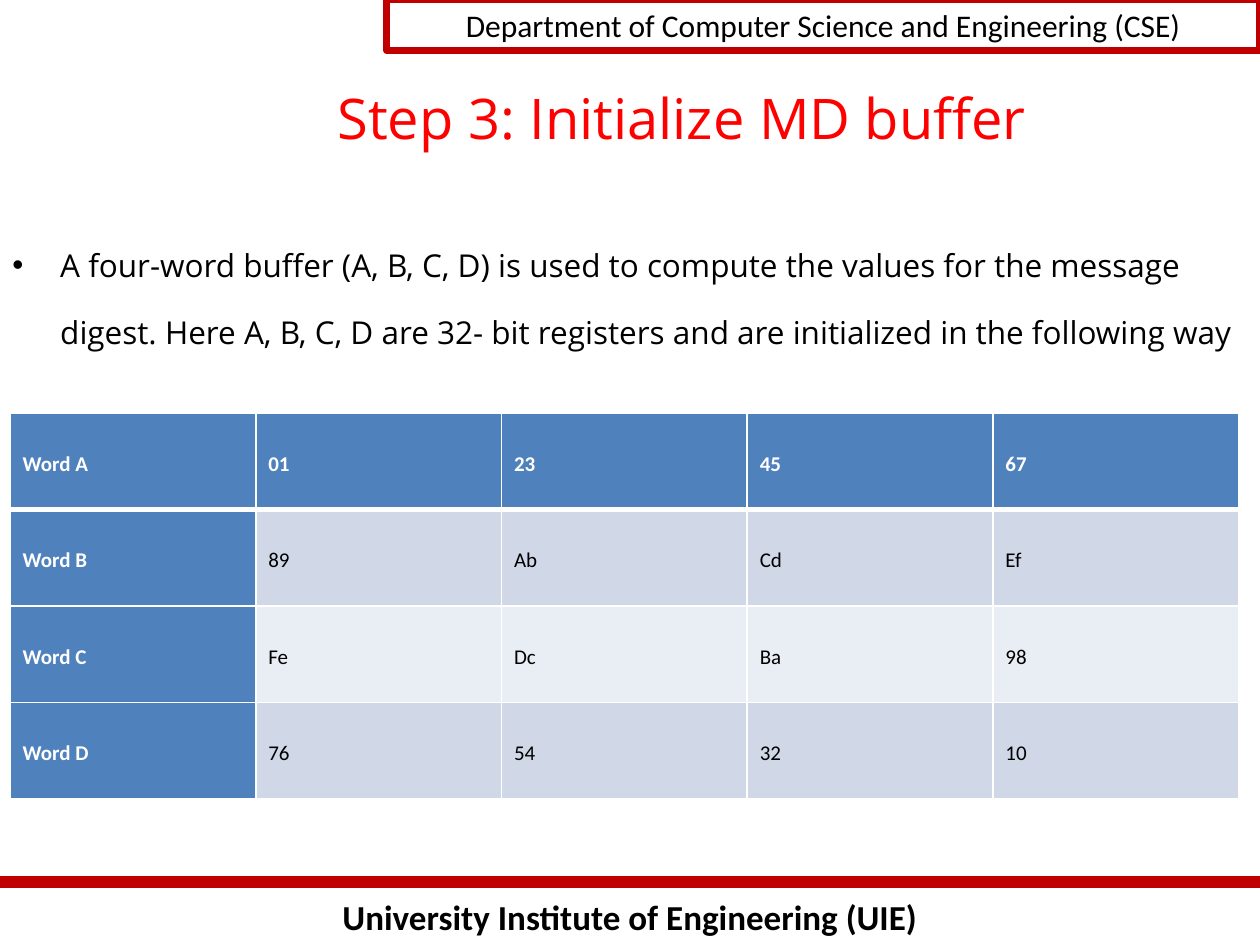
import pptx
import pptx.util
import pptx.dml.color
import pptx.enum.shapes
import pptx.enum.text
import pptx.oxml.ns
from lxml import etree

Inches, Pt = pptx.util.Inches, pptx.util.Pt
RGBColor = pptx.dml.color.RGBColor
ALIGN = pptx.enum.text.PP_ALIGN
ANCHOR = pptx.enum.text.MSO_ANCHOR
qn = pptx.oxml.ns.qn

BLACK = RGBColor(0x00, 0x00, 0x00)
WHITE = RGBColor(0xFF, 0xFF, 0xFF)
RED = RGBColor(0xFF, 0x00, 0x00)
DARK_RED = RGBColor(0xC0, 0x00, 0x00)
BLUE = RGBColor(0x4F, 0x81, 0xBD)
BAND_DARK = RGBColor(0xD0, 0xD8, 0xE8)
BAND_LIGHT = RGBColor(0xE9, 0xED, 0xF4)

WORDS = [
    ["Word A", "01", "23", "45", "67"],
    ["Word B", "89", "Ab", "Cd", "Ef"],
    ["Word C", "Fe", "Dc", "Ba", "98"],
    ["Word D", "76", "54", "32", "10"],
]


def add_run(p, text, size, font="Calibri", color=BLACK, bold=False):
    r = p.add_run()
    r.text = text
    r.font.size = Pt(size)
    r.font.name = font
    r.font.color.rgb = color
    r.font.bold = bold


def add_text_box(s, left, top, width, height):
    tf = s.shapes.add_textbox(
        Inches(left), Inches(top), Inches(width), Inches(height)).text_frame
    tf.word_wrap = True
    return tf.paragraphs[0]


def add_department(s):
    sp = s.shapes.add_shape(pptx.enum.shapes.MSO_SHAPE.RECTANGLE,
                            Inches(3.07), 0, Inches(6.93), Inches(0.4))
    sp.shadow.inherit = False
    sp.fill.background()
    sp.line.color.rgb = DARK_RED
    sp.line.width = Pt(4)
    p = sp.text_frame.paragraphs[0]
    p.alignment = ALIGN.CENTER
    add_run(p, "Department of Computer Science and Engineering (CSE)", 18)


def add_footer(s):
    p = add_text_box(s, 0, 7.06, 10, 0.44)
    p.alignment = ALIGN.CENTER
    add_run(p, "University Institute of Engineering (UIE)", 20, bold=True)
    rule = s.shapes.add_connector(pptx.enum.shapes.MSO_CONNECTOR.STRAIGHT,
                                  0, Inches(7), Inches(10), Inches(7))
    rule.line.color.rgb = DARK_RED
    rule.line.width = Pt(7)
    etree.SubElement(rule._element.spPr, qn("a:effectLst"))


def set_title(s):
    title = s.shapes.title
    title.left, title.top = Inches(1.08), Inches(0.5)
    title.width, title.height = Inches(8.67), Inches(0.83)
    title.text_frame.vertical_anchor = ANCHOR.MIDDLE
    p = title.text_frame.paragraphs[0]
    p.alignment = ALIGN.CENTER
    p.line_spacing = 1.07
    p.space_after = Pt(4.6)
    add_run(p, "Step 3: Initialize MD buffer", 32, "Open Sans", RED)


def add_body(s):
    p = add_text_box(s, 0, 1.67, 10, 5.17)
    p.line_spacing = 1.77
    p.space_after = Pt(16.6)
    pPr = p._p.get_or_add_pPr()
    pPr.set("marL", str(Inches(0.38)))
    pPr.set("indent", str(-Inches(0.38)))
    etree.SubElement(pPr, qn("a:buFont"), typeface="Arial")
    etree.SubElement(pPr, qn("a:buChar"), char="\u2022")
    add_run(p, "A four-word buffer (A, B, C, D) is used to compute the values "
               "for the message digest. Here A, B, C, D are 32- bit registers "
               "and are initialized in the following way", 18, "Open Sans")


def set_borders(cell, bottom):
    tcPr = cell._tc.get_or_add_tcPr()
    widths = {"lnL": 1, "lnR": 1, "lnT": 1, "lnB": bottom}
    # Borders stand before the fill
    for i, (side, width) in enumerate(widths.items()):
        ln = etree.Element(qn("a:" + side), w=str(Pt(width)))
        fill = etree.SubElement(ln, qn("a:solidFill"))
        etree.SubElement(fill, qn("a:srgbClr"), val=str(WHITE))
        tcPr.insert(i, ln)


def format_cell(cell, text, row, col):
    header = row == 0 or col == 0
    cell.fill.solid()
    cell.fill.fore_color.rgb = (
        BLUE if header else BAND_DARK if row % 2 else BAND_LIGHT)
    cell.margin_left = cell.margin_right = Inches(0.1)
    cell.margin_top = cell.margin_bottom = Inches(0.1)
    p = cell.text_frame.paragraphs[0]
    p.line_spacing = 2.0
    p.space_after = Pt(8)
    add_run(p, text, 12, color=WHITE if header else BLACK, bold=header)
    set_borders(cell, 3 if row == 0 else 1)


def add_word_table(s):
    table = s.shapes.add_table(len(WORDS), len(WORDS[0]), Inches(0.08),
                               Inches(3.28), Inches(9.75), Inches(3.06)).table
    table.first_col = True
    for row, words in enumerate(WORDS):
        for col, word in enumerate(words):
            format_cell(table.cell(row, col), word, row, col)
    # The edge under the header is shared with the next row
    for col in range(len(WORDS[0])):
        top = table.cell(1, col)._tc.tcPr.find(qn("a:lnT"))
        top.set("w", str(Pt(3)))


def main():
    prs = pptx.Presentation()
    prs.slide_width, prs.slide_height = Inches(10), Inches(7.5)
    s = prs.slides.add_slide(prs.slide_layouts[5])
    # Frame of the slide
    add_footer(s)
    add_department(s)
    # Content
    set_title(s)
    add_body(s)
    add_word_table(s)
    prs.save("out.pptx")


main()
